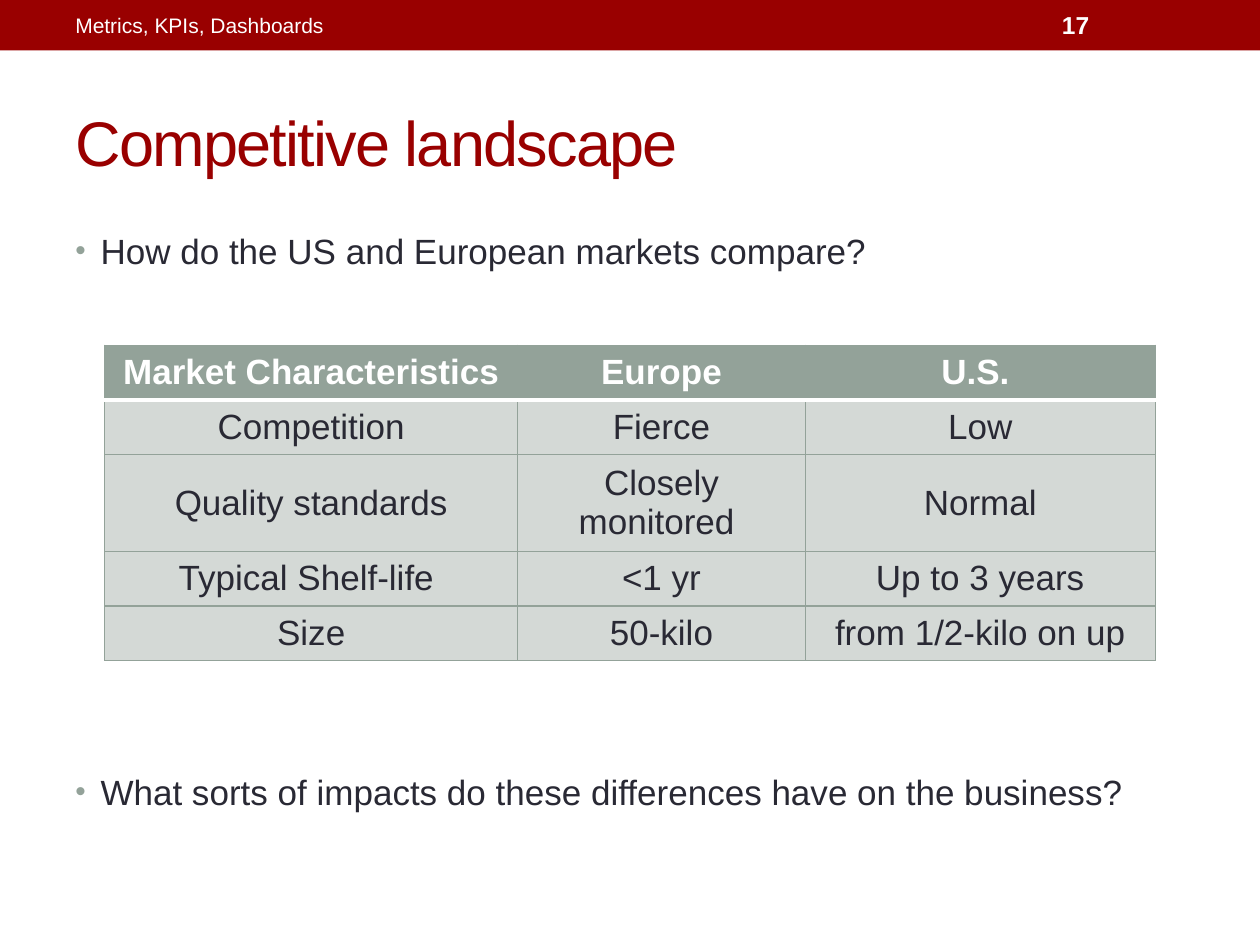
from pptx import Presentation
from pptx.dml.color import RGBColor
from pptx.enum.shapes import MSO_SHAPE as Shape
from pptx.enum.text import MSO_ANCHOR as Anchor, PP_ALIGN as Align
from pptx.oxml import parse_xml
from pptx.oxml.ns import nsdecls
from pptx.util import Inches, Pt

CRIMSON = RGBColor(0x99, 0x00, 0x00)
SAGE = RGBColor(0x93, 0xA2, 0x99)
PALE_SAGE = RGBColor(0xD4, 0xD9, 0xD6)
INK = RGBColor(0x29, 0x29, 0x34)
WHITE = RGBColor(0xFF, 0xFF, 0xFF)

MARKET_ROWS = [
    ("Market Characteristics", "Europe", "U.S. "),
    ("Competition", "Fierce", "Low"),
    ("Quality standards", "Closely monitored ", "Normal"),
    ("Typical Shelf-life ", "<1 yr", "Up to 3 years"),
    ("Size", "50-kilo", "from 1/2-kilo on up"),
]


def write(paragraph, text, size=20, color=INK, bold=False, align=Align.LEFT,
          tracking=0, before=0):
    paragraph.alignment = align
    paragraph.space_before = Pt(before)
    run = paragraph.add_run()
    run.text = text
    run.font.name = "Arial"
    run.font.size = Pt(size)
    run.font.bold = bold
    run.font.color.rgb = color
    if tracking:
        run.font._element.set("spc", str(tracking * 100))


class SlideBuilder:
    """Holds the colours and the current slide, and draws each kind of element."""

    def __init__(self, slide, accent=SAGE, band=CRIMSON):
        self.slide = slide
        self.accent = accent
        self.band = band

    def header_band(self, height):
        band = self.slide.shapes.add_shape(
            Shape.RECTANGLE, 0, 0, Inches(10), Inches(height))
        band.shadow.inherit = False
        band.fill.solid()
        band.fill.fore_color.rgb = self.band
        band.line.fill.background()

    def frame(self, left, top, width, height, anchor=Anchor.MIDDLE):
        box = self.slide.shapes.add_textbox(
            Inches(left), Inches(top), Inches(width), Inches(height))
        box.text_frame.word_wrap = True
        box.text_frame.vertical_anchor = anchor
        return box.text_frame

    def label(self, text, left, top, width, height, **style):
        write(self.frame(left, top, width, height).paragraphs[0], text, **style)

    def bullets(self, items, left, top, width, height, gap):
        body = self.frame(left, top, width, height, Anchor.TOP)
        for index, item in enumerate(items):
            paragraph = body.add_paragraph() if index else body.paragraphs[0]
            write(paragraph, item, before=gap if index else 0)
            properties = paragraph._p.get_or_add_pPr()
            properties.set("marL", str(Inches(0.2)))
            properties.set("indent", str(-Inches(0.2)))
            for mark in (f'<a:buClr {nsdecls("a")}><a:srgbClr val="{self.accent}"/></a:buClr>',
                         f'<a:buSzPct {nsdecls("a")} val="85000"/>',
                         f'<a:buFont {nsdecls("a")} typeface="Arial"/>',
                         f'<a:buChar {nsdecls("a")} char="•"/>'):
                properties.append(parse_xml(mark))

    def border(self, cell, side, color, width):
        cell._tc.get_or_add_tcPr().append(parse_xml(
            f'<a:ln{side} {nsdecls("a")} w="{Pt(width)}"><a:solidFill>'
            f'<a:srgbClr val="{color}"/></a:solidFill></a:ln{side}>'))

    def table(self, rows, left, top, widths, row_height):
        grid = self.slide.shapes.add_table(
            len(rows), len(widths), Inches(left), Inches(top),
            Inches(sum(widths)), Inches(row_height * len(rows))).table
        grid.horz_banding = False
        for column, width in zip(grid.columns, widths):
            column.width = Inches(width)
        for r, row in enumerate(rows):
            grid.rows[r].height = Inches(row_height)
            for c, text in enumerate(row):
                self.cell(grid.cell(r, c), text, r)

    def cell(self, cell, text, row):
        heading = row == 0
        for side in "LRTB":
            divider = (row, side) in ((0, "B"), (1, "T"))
            self.border(cell, side, WHITE if divider else self.accent,
                        2.08 if divider else 0.75)
        cell.fill.solid()
        cell.fill.fore_color.rgb = self.accent if heading else PALE_SAGE
        cell.vertical_anchor = Anchor.MIDDLE
        write(cell.text_frame.paragraphs[0], text, bold=heading,
              color=WHITE if heading else INK, align=Align.CENTER)


def main():
    deck = Presentation()
    deck.slide_width, deck.slide_height = Inches(10), Inches(7.5)
    page = SlideBuilder(deck.slides.add_slide(deck.slide_layouts[6]))
    page.header_band(0.4)
    page.label("Competitive landscape", 0.5, 0.58, 9, 1.08,
               size=36, color=CRIMSON, tracking=-1)
    page.bullets(["How do the US and European markets compare?",
                  "What sorts of impacts do these differences have on the business?"],
                 0.5, 1.77, 9, 5.31, gap=285)
    page.label("Metrics, KPIs, Dashboards", 0.5, 0.02, 3.17, 0.36,
               size=12, color=WHITE)
    page.label("17", 8.33, 0.02, 1.17, 0.36, size=14, color=WHITE, bold=True)
    page.table(MARKET_ROWS, 0.83, 2.74, (3.28, 2.28, 2.78), 0.41)
    deck.save("out.pptx")


if __name__ == "__main__":
    main()
